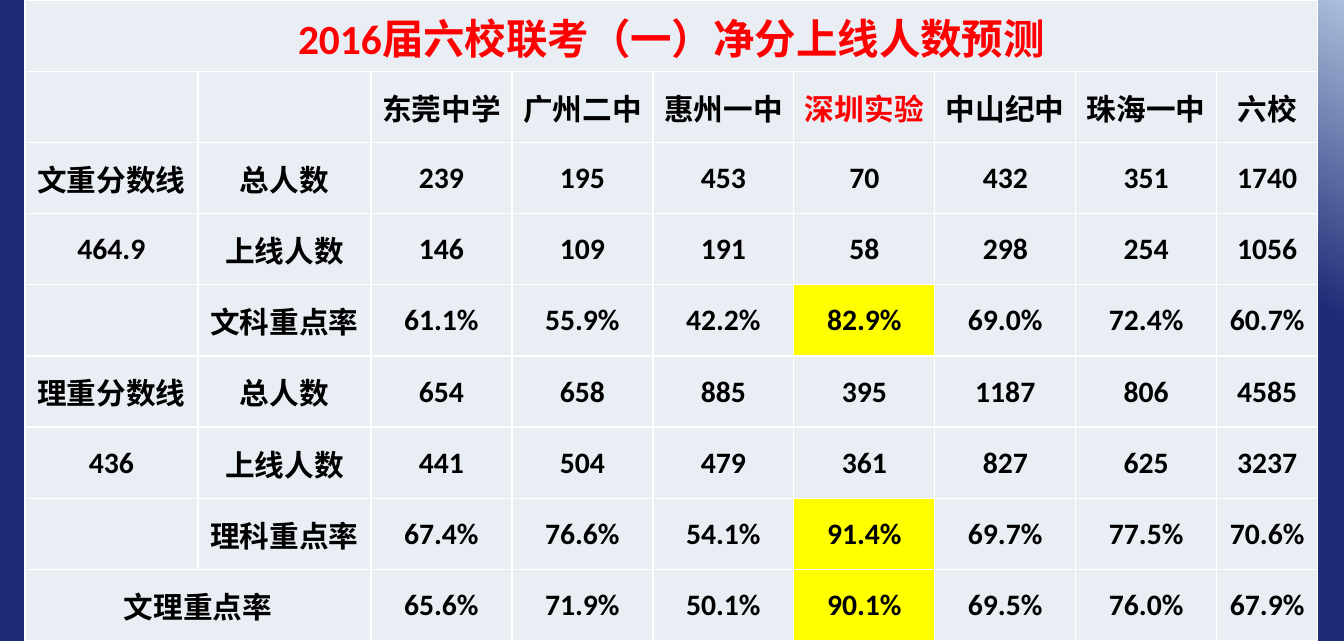
import copy

import lxml.etree
import pptx
import pptx.dml.color
import pptx.enum.shapes
import pptx.enum.text
import pptx.oxml.ns
import pptx.util

PX = 8572.5  # EMU per px
SLIDE_WIDTH, SLIDE_HEIGHT = 1344, 641
THEME = {
    "font": "Calibri", "title_size": 28, "cell_size": 20,
    "text": "000000", "accent": "FF0000",
    "cell": "E9EDF4", "highlight": "FFFF00", "border": "FFFFFF",
    "glow": "B9CDE5", "navy": "212A77", "outline": "002060",
}
ROWS = [
    ["2016届六校联考（一）净分上线人数预测"] + [""] * 8,
    ["", "", "东莞中学", "广州二中", "惠州一中", "深圳实验", "中山纪中", "珠海一中", "六校"],
    ["文重分数线", "总人数", "239", "195", "453", "70", "432", "351", "1740"],
    ["464.9", "上线人数", "146", "109", "191", "58", "298", "254", "1056"],
    ["", "文科重点率", "61.1%", "55.9%", "42.2%", "82.9%", "69.0%", "72.4%", "60.7%"],
    ["理重分数线", "总人数", "654", "658", "885", "395", "1187", "806", "4585"],
    ["436", "上线人数", "441", "504", "479", "361", "827", "625", "3237"],
    ["", "理科重点率", "67.4%", "76.6%", "54.1%", "91.4%", "69.7%", "77.5%", "70.6%"],
    ["文理重点率", "", "65.6%", "71.9%", "50.1%", "90.1%", "69.5%", "76.0%", "67.9%"],
]
COLUMN_WIDTHS = [173] * 2 + [141] * 6 + [101]
FEATURED_COLUMN = 5  # 深圳实验


def px(length):
    return pptx.util.Emu(round(length * PX))


def color(name):
    return pptx.dml.color.RGBColor.from_string(THEME[name])


presentation = pptx.Presentation()
presentation.slide_width, presentation.slide_height = px(SLIDE_WIDTH), px(SLIDE_HEIGHT)
slide = presentation.slides.add_slide(presentation.slide_layouts[6])

# Gradient backdrop, light in the upper right corner
backdrop = slide.shapes.add_shape(
    pptx.enum.shapes.MSO_SHAPE.RECTANGLE, px(-3), px(-23), px(1361), px(681))
backdrop.shadow.inherit = False
backdrop.line.color.rgb = color("outline")
backdrop.line.width = pptx.util.Pt(2)
backdrop.fill.gradient()
backdrop.fill.gradient_angle = 240
stop_list = next(backdrop.fill._xPr.iter(pptx.oxml.ns.qn("a:gsLst")))
stop_list.append(copy.deepcopy(stop_list[-1]))
for stop, position, name in zip(backdrop.fill.gradient_stops, (0, 0.24, 1),
                                ("glow", "navy", "navy")):
    stop.position = position
    stop.color.rgb = color(name)

# Score table
table = slide.shapes.add_table(
    len(ROWS), len(COLUMN_WIDTHS), px(25), px(0),
    px(sum(COLUMN_WIDTHS)), px(SLIDE_HEIGHT)).table
table.first_row = table.horz_banding = False
for column, width in zip(table.columns, COLUMN_WIDTHS):
    column.width = px(width)
for row in table.rows:
    row.height = px(SLIDE_HEIGHT / len(ROWS))
table.cell(0, 0).merge(table.cell(0, len(COLUMN_WIDTHS) - 1))
table.cell(len(ROWS) - 1, 0).merge(table.cell(len(ROWS) - 1, 1))

for row_index, values in enumerate(ROWS):
    for column_index, value in enumerate(values):
        cell = table.cell(row_index, column_index)
        featured = column_index == FEATURED_COLUMN
        is_title = row_index == 0
        cell.margin_left = cell.margin_right = cell.margin_top = px(1)
        cell.margin_bottom = 0
        cell.vertical_anchor = pptx.enum.text.MSO_ANCHOR.MIDDLE

        properties = cell._tc.get_or_add_tcPr()
        for side in ("lnL", "lnR", "lnT", "lnB"):
            border = lxml.etree.SubElement(
                properties, pptx.oxml.ns.qn(f"a:{side}"), w=str(pptx.util.Pt(1)))
            solid = lxml.etree.SubElement(border, pptx.oxml.ns.qn("a:solidFill"))
            lxml.etree.SubElement(
                solid, pptx.oxml.ns.qn("a:srgbClr"), val=THEME["border"])
        cell.fill.solid()
        cell.fill.fore_color.rgb = color(
            "highlight" if featured and value.endswith("%") else "cell")

        if value:
            paragraph = cell.text_frame.paragraphs[0]
            paragraph.alignment = pptx.enum.text.PP_ALIGN.CENTER
            run = paragraph.add_run()
            run.text = value
            run.font.name = THEME["font"]
            run.font.bold = True
            run.font.size = pptx.util.Pt(THEME["title_size" if is_title else "cell_size"])
            run.font.color.rgb = color(
                "accent" if is_title or (featured and row_index == 1) else "text")

presentation.save("out.pptx")
